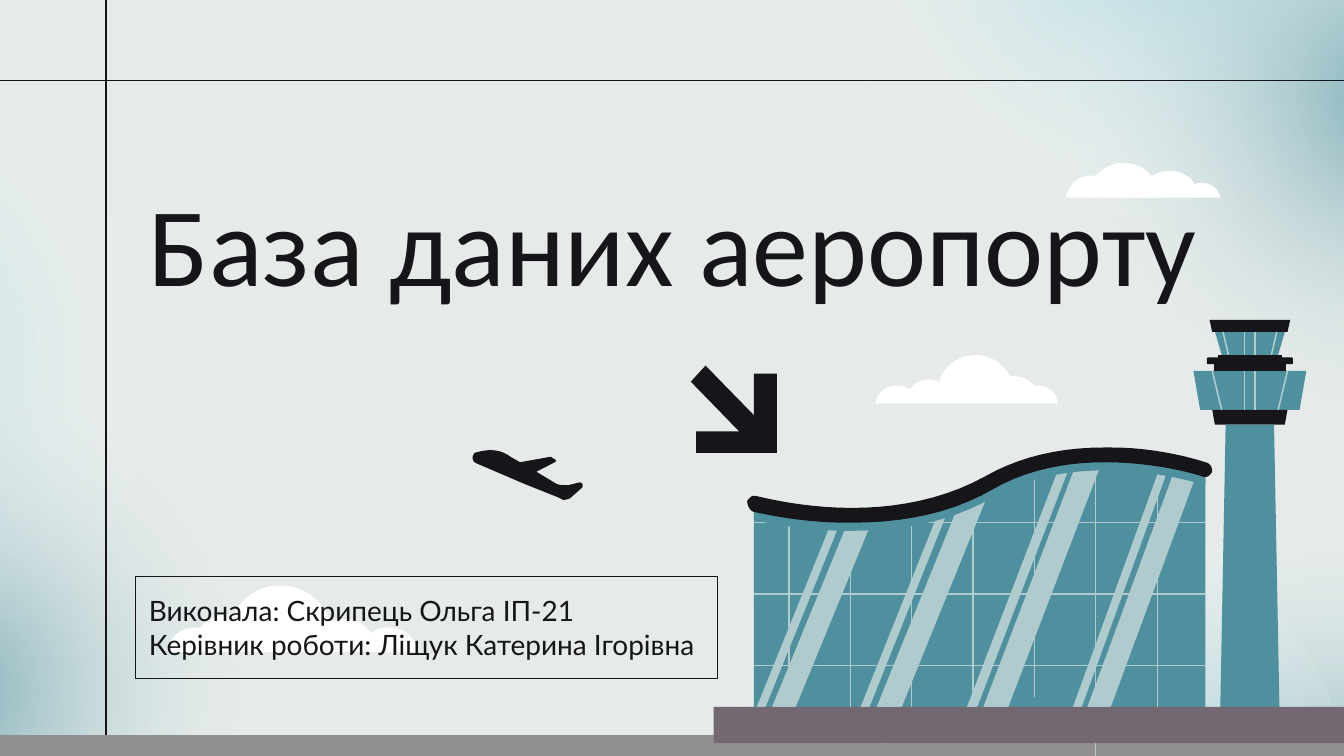
"""Build the title slide of an airport database presentation."""
from dataclasses import dataclass
from typing import NamedTuple

import pptx
import pptx.dml.color
import pptx.enum.shapes
import pptx.enum.text
import pptx.oxml
import pptx.oxml.ns
import pptx.util

Inches = pptx.util.Inches
Shape = pptx.enum.shapes.MSO_SHAPE


@dataclass(frozen=True)
class Theme:
    paper: str = "E6EBE9"
    ink: str = "161519"
    teal: str = "4E909E"
    sky: str = "80C8D8"
    glass: str = "B0CBCE"
    white: str = "FFFFFF"
    ground: str = "918F8F"
    apron: str = "736871"
    title_font: str = "Calibri"
    body_font: str = "Lato"
    title_size: float = 60
    body_size: float = 15
    rule: float = 0.75
    mullion: float = 0.83
    pane: float = 0.67


class Glow(NamedTuple):
    left: float
    top: float
    rotation: float
    color: str
    alpha: int


class Tier(NamedTuple):
    top: float
    bottom: float
    half_top: float
    half_bottom: float
    color: str


class Streak(NamedTuple):
    left: float
    bottom: float
    width: float
    run: float
    rise: float


T = Theme()
WIDTH = 10
HEIGHT = WIDTH * 9 / 16
GLOWS = [
    Glow(7.31, 4.07, 237.1, T.teal, 81), Glow(5.1, 3.68, 237.1, T.sky, 68),
    Glow(-3.95, 0.41, 202, T.sky, 68), Glow(-3.01, 2.84, 202, T.teal, 68),
    Glow(6.04, -3.08, 149, T.sky, 68), Glow(7.77, -1.57, 149, T.teal, 68),
]
CLOUD = [
    (1.64, 0.33), (1.6, 0.33, 1.55, 0.34, 1.51, 0.37), (1.44, 0.27, 1.31, 0.24, 1.21, 0.29),
    (1.16, 0.14, 1.03, 0.03, 0.87, 0.02), (0.71, 0, 0.56, 0.09, 0.49, 0.23),
    (0.48, 0.23, 0.47, 0.23, 0.46, 0.23), (0.37, 0.23, 0.29, 0.27, 0.24, 0.33),
    (0.22, 0.33, 0.21, 0.33, 0.2, 0.33), (0.09, 0.33, 0, 0.41, 0, 0.51),
    (1.85, 0.51), (1.85, 0.41, 1.76, 0.33, 1.64, 0.33),
]
SMALL_CLOUD = [
    (9.08, 1.47), (7.93, 1.47), (7.95, 1.36, 8.05, 1.29, 8.15, 1.31),
    (8.26, 1.18, 8.46, 1.18, 8.57, 1.31), (8.68, 1.24, 8.83, 1.27, 8.89, 1.37),
    (8.97, 1.34, 9.06, 1.38, 9.08, 1.47),
]
ARROW = [(5.25, 2.72), (5.14, 2.84), (5.5, 3.21), (5.18, 3.21), (5.18, 3.37),
         (5.78, 3.37), (5.78, 2.78), (5.61, 2.78), (5.61, 3.09)]
PLANE = [
    (3.65, 3.35), (3.71, 3.35, 3.76, 3.37, 3.8, 3.4), (3.87, 3.44), (4.09, 3.4), (4.1, 3.4),
    (4.13, 3.42), (4.14, 3.42, 4.14, 3.43, 4.13, 3.44), (3.99, 3.51), (4.14, 3.6),
    (4.16, 3.61, 4.18, 3.61, 4.2, 3.61), (4.23, 3.61), (4.31, 3.59),
    (4.34, 3.59, 4.34, 3.62, 4.33, 3.63), (4.24, 3.71),
    (4.23, 3.71, 4.22, 3.72, 4.19, 3.72), (4.15, 3.7), (3.9, 3.6), (3.55, 3.45),
    (3.52, 3.44, 3.51, 3.41, 3.52, 3.39), (3.53, 3.37), (3.57, 3.36, 3.61, 3.35, 3.65, 3.35),
]
TOWER_X = 9.3
TIERS = [
    Tier(2.76, 3.05, 0.42, 0.37, T.teal), Tier(3.05, 3.16, 0.28, 0.26, T.ink),
    Tier(3.16, 5.27, 0.18, 0.22, T.teal), Tier(2.71, 2.76, 0.27, 0.27, T.ink),
    Tier(2.47, 2.64, 0.26, 0.21, T.teal), Tier(2.38, 2.47, 0.3, 0.28, T.ink),
    Tier(2.64, 2.69, 0.24, 0.24, T.ink),
]
TOWER_PANES = [Tier(2.47, 2.64, 0.2, 0.16, T.glass), Tier(2.76, 3.05, 0.28, 0.21, T.glass)]
HALL = [(5.61, 3.75), (5.61, 5.27), (8.97, 5.27), (8.97, 3.49),
        (8.65, 3.4, 7.94, 3.26, 7.37, 3.59), (6.69, 3.98, 5.81, 3.8, 5.61, 3.75)]
STREAKS = [
    Streak(8.08, 5.29, 0.16, 0.7, 1.9), Streak(7.98, 5.27, 0.06, 0.69, 1.9),
    Streak(7.29, 5.33, 0.17, 0.73, 1.91), Streak(7.18, 5.3, 0.07, 0.73, 1.9),
    Streak(6.43, 5.49, 0.17, 0.73, 1.8), Streak(6.32, 5.47, 0.06, 0.68, 1.7),
    Streak(5.65, 5.49, 0.16, 0.69, 1.68), Streak(5.55, 5.46, 0.06, 0.68, 1.68),
]
PANE_SPANS = [(3.8, 5.45), (3.8, 5.45), (3.75, 5.41), (3.67, 5.32), (3.54, 5.19),
              (3.47, HEIGHT), (3.5, 5.51)]
ROOF_TOP = [(5.62, 3.69), (5.71, 3.71, 5.99, 3.78, 6.34, 3.78),
            (6.66, 3.78, 7.02, 3.72, 7.34, 3.54), (7.59, 3.4, 7.88, 3.33, 8.22, 3.33),
            (8.26, 3.33), (8.56, 3.33, 8.81, 3.39, 8.97, 3.44)]
ROOF_UNDERSIDE = [(8.96, 3.55), (8.81, 3.5, 8.53, 3.44, 8.22, 3.44),
                  (7.95, 3.44, 7.65, 3.49, 7.39, 3.64), (7.1, 3.81, 6.75, 3.89, 6.34, 3.89),
                  (6.31, 3.89), (6.07, 3.89, 5.84, 3.86, 5.61, 3.81)]
FASCIA = ROOF_TOP + [(8.97, 3.55)] + ROOF_UNDERSIDE + [(5.61, 3.69)]
ROOF = (ROOF_TOP + [(9.01, 3.45, 9.02, 3.48, 9.02, 3.51), (9.01, 3.53, 8.99, 3.55, 8.97, 3.55)]
        + ROOF_UNDERSIDE
        + [(5.58, 3.8, 5.56, 3.76, 5.56, 3.73), (5.57, 3.71, 5.59, 3.69, 5.61, 3.69)])


def rgb(color: str):
    return pptx.dml.color.RGBColor.from_string(color)


def paint(sp, color: str) -> None:
    sp.shadow.inherit = False
    sp.fill.solid()
    sp.fill.fore_color.rgb = rgb(color)
    sp.line.fill.background()


def flatten(outline: list, steps: int = 10) -> list:
    points = [outline[0]]
    for part in outline[1:]:
        if len(part) == 2:
            points.append(part)
            continue
        knots = [points[-1], part[:2], part[2:4], part[4:]]
        for i in range(1, steps + 1):
            t = i / steps
            weights = ((1 - t) ** 3, 3 * t * (1 - t) ** 2, 3 * t * t * (1 - t), t ** 3)
            points.append(tuple(sum(w * k[axis] for w, k in zip(weights, knots))
                                for axis in (0, 1)))
    return points


def draw_outline(s, outline: list, color: str, dx: float = 0, dy: float = 0,
                 sx: float = 1, sy: float = 1) -> None:
    points = [(Inches(dx + x * sx), Inches(dy + y * sy)) for x, y in flatten(outline)]
    builder = s.shapes.build_freeform(*points[0], scale=1)
    builder.add_line_segments(points[1:], close=True)
    paint(builder.convert_to_shape(), color)


def draw_box(s, left: float, top: float, width: float, height: float, color: str,
             kind=Shape.RECTANGLE):
    sp = s.shapes.add_shape(kind, Inches(left), Inches(top), Inches(width), Inches(height))
    paint(sp, color)
    return sp


def draw_line(s, x1: float, y1: float, x2: float, y2: float, color: str, weight: float) -> None:
    line = s.shapes.add_connector(pptx.enum.shapes.MSO_CONNECTOR.STRAIGHT,
                                  Inches(x1), Inches(y1), Inches(x2), Inches(y2))
    line.line.color.rgb = rgb(color)
    line.line.width = pptx.util.Pt(weight)
    line.element.spPr.append(
        pptx.oxml.parse_xml(f"<a:effectLst {pptx.oxml.ns.nsdecls('a')}/>"))


def draw_glow(s, glow: Glow) -> None:
    sp = draw_box(s, glow.left, glow.top, 5.22, 4.6, glow.color, Shape.OVAL)
    sp.rotation = glow.rotation
    stops = "".join(
        f'<a:gs pos="{pos * 1000}"><a:srgbClr val="{color}"><a:alpha val="{alpha * 1000}"/>'
        "</a:srgbClr></a:gs>"
        for pos, color, alpha in ((0, glow.color, glow.alpha), (58, T.white, 0), (100, T.white, 0)))
    gradient = pptx.oxml.parse_xml(
        f"<a:gradFill {pptx.oxml.ns.nsdecls('a')}><a:gsLst>{stops}</a:gsLst>"
        '<a:path path="circle"><a:fillToRect l="50000" t="50000" r="50000" b="50000"/></a:path>'
        "</a:gradFill>")
    solid = sp.element.spPr.find(pptx.oxml.ns.qn("a:solidFill"))
    sp.element.spPr.replace(solid, gradient)


def draw_text(s, left: float, top: float, width: float, height: float, text: str,
              font: str, size: float, spacing: float = 1):
    sp = s.shapes.add_textbox(Inches(left), Inches(top), Inches(width), Inches(height))
    tf = sp.text_frame
    tf.word_wrap = True
    tf.vertical_anchor = pptx.enum.text.MSO_ANCHOR.MIDDLE
    tf.margin_left = tf.margin_right = tf.margin_top = tf.margin_bottom = Inches(0.1)
    tf.text = text
    for p in tf.paragraphs:
        p.line_spacing = spacing
        for r in p.runs:
            r.font.name, r.font.size = font, pptx.util.Pt(size)
            r.font.color.rgb = rgb(T.ink)
    return sp


def draw_tower(s) -> None:
    for tier in TIERS:
        draw_outline(s, [(-tier.half_top, tier.top), (tier.half_top, tier.top),
                         (tier.half_bottom, tier.bottom), (-tier.half_bottom, tier.bottom)],
                     tier.color, dx=TOWER_X)
    draw_box(s, TOWER_X - 0.32, 2.66, 0.64, 0.05, T.ink, Shape.ROUNDED_RECTANGLE)
    for pane in TOWER_PANES:
        for side in (-1, 1):
            for x1, x2 in ((pane.half_top, pane.half_bottom), (0.04, 0.04)):
                draw_line(s, TOWER_X + side * x1, pane.top, TOWER_X + side * x2, pane.bottom,
                          pane.color, T.mullion)


def draw_terminal(s) -> None:
    draw_outline(s, HALL, T.teal)
    for k in STREAKS:
        drop = k.width / 4
        draw_outline(s, [(0, 0), (k.width, drop), (k.width + k.run, drop - k.rise),
                         (k.run, -k.rise)], T.glass, dx=k.left, dy=k.bottom)
    for i, (top, bottom) in enumerate(PANE_SPANS):
        x = 5.87 + i * 2.74 / 6
        draw_line(s, x, top, x, bottom, T.glass, T.pane)
    for i in range(3):
        y = 3.89 + i * 0.53
        draw_line(s, 5.61, y, 8.97, y, T.glass, T.pane)
    draw_box(s, 5.31, 5.26, 4.69, 0.27, T.apron)
    draw_outline(s, FASCIA, T.teal, dy=0.06)
    draw_outline(s, ROOF, T.ink)


def main() -> None:
    prs = pptx.Presentation()
    prs.slide_width, prs.slide_height = Inches(WIDTH), Inches(HEIGHT)
    s = prs.slides.add_slide(prs.slide_layouts[6])
    s.background.fill.solid()
    s.background.fill.fore_color.rgb = rgb(T.paper)
    for glow in GLOWS:
        draw_glow(s, glow)
    draw_line(s, 0.79, 0, 0.79, HEIGHT, T.ink, T.rule)
    draw_line(s, 0, 0.6, WIDTH, 0.6, T.ink, T.rule)
    draw_outline(s, CLOUD, T.white, dx=1.25, dy=4.34)
    draw_outline(s, CLOUD, T.white, dx=7.87, dy=2.63, sx=-0.73, sy=0.73)
    draw_outline(s, SMALL_CLOUD, T.white)
    draw_box(s, 0, 5.47, WIDTH, HEIGHT - 5.47, T.ground)
    draw_text(s, 1.01, 0.82, 8.88, 2.08, "База даних аеропорту", T.title_font, T.title_size, 0.9)
    credits = draw_text(s, 1.01, 4.29, 4.33, 0.76,
                        "Виконала: Скрипець Ольга ІП-21\nКерівник роботи: Ліщук Катерина Ігорівна",
                        T.body_font, T.body_size)
    credits.line.color.rgb = rgb(T.ink)
    credits.line.width = pptx.util.Pt(T.rule)
    draw_outline(s, ARROW, T.ink)
    draw_tower(s)
    draw_terminal(s)
    draw_outline(s, PLANE, T.ink)
    prs.save("out.pptx")


if __name__ == "__main__":
    main()
